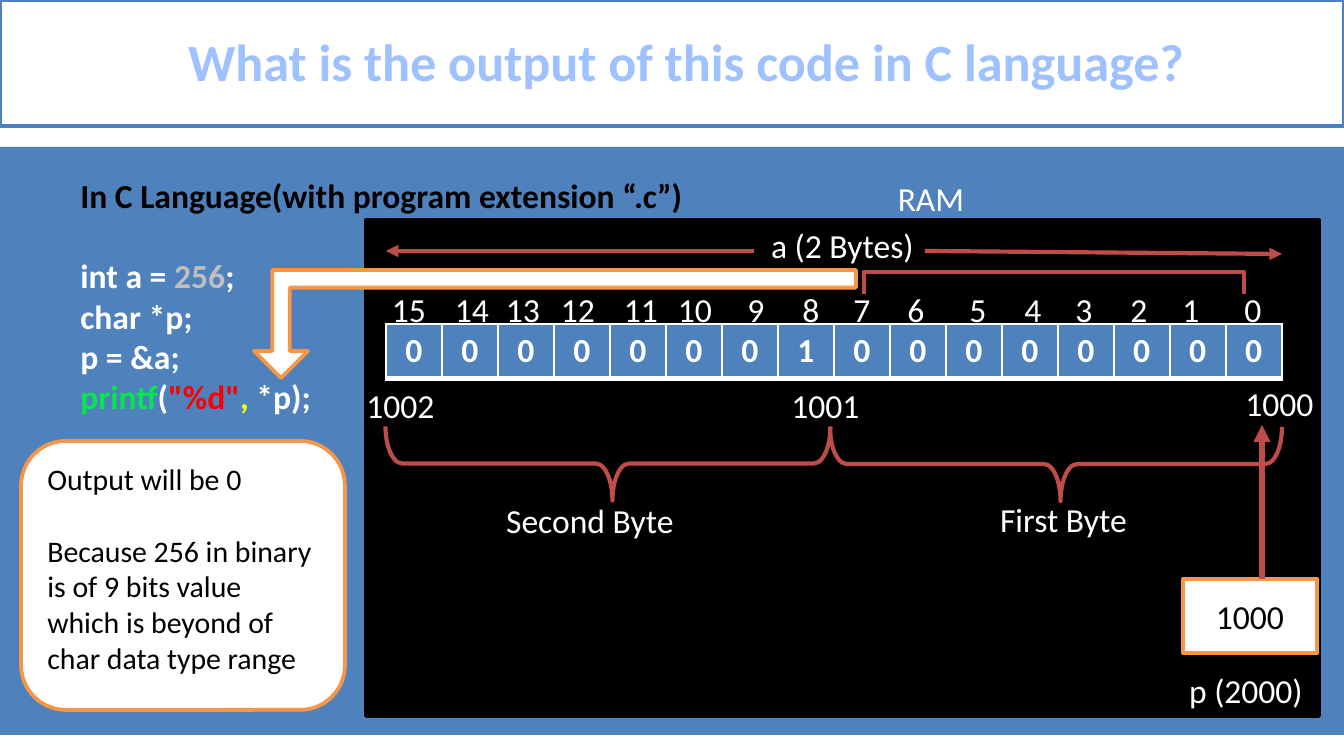
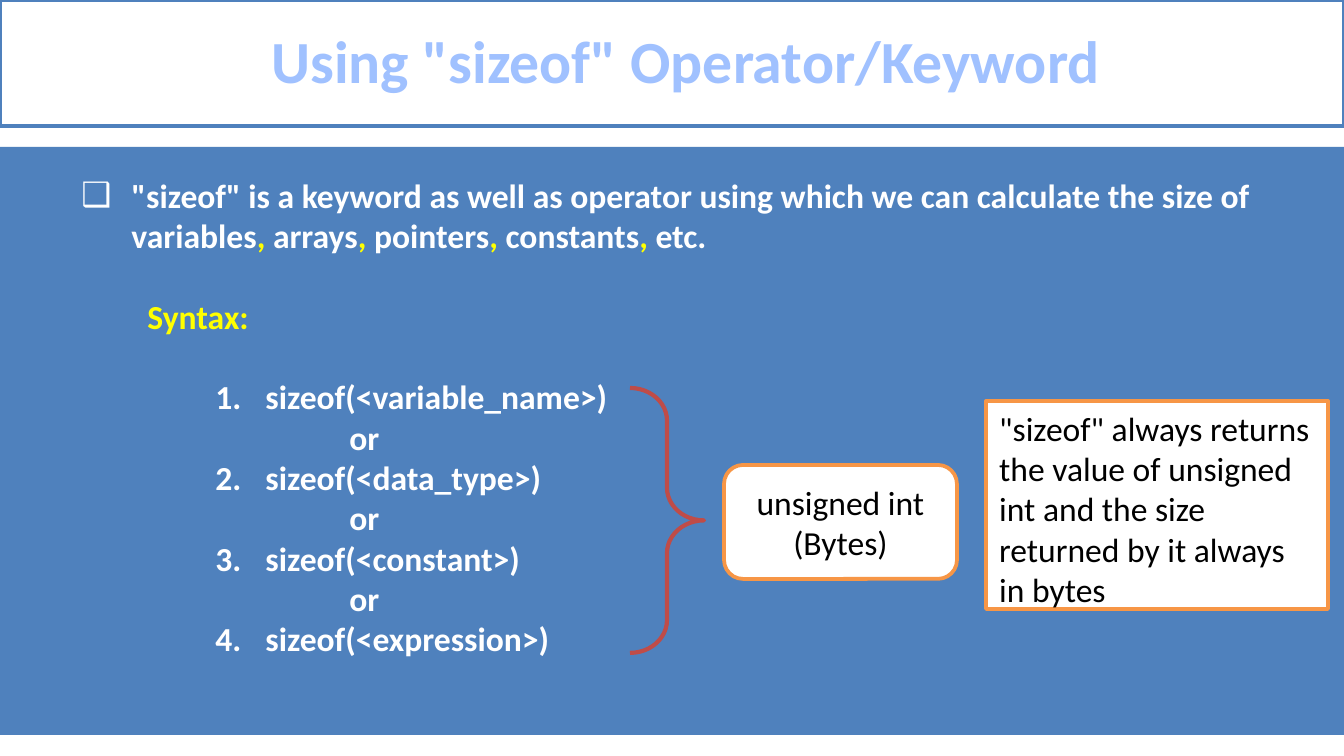
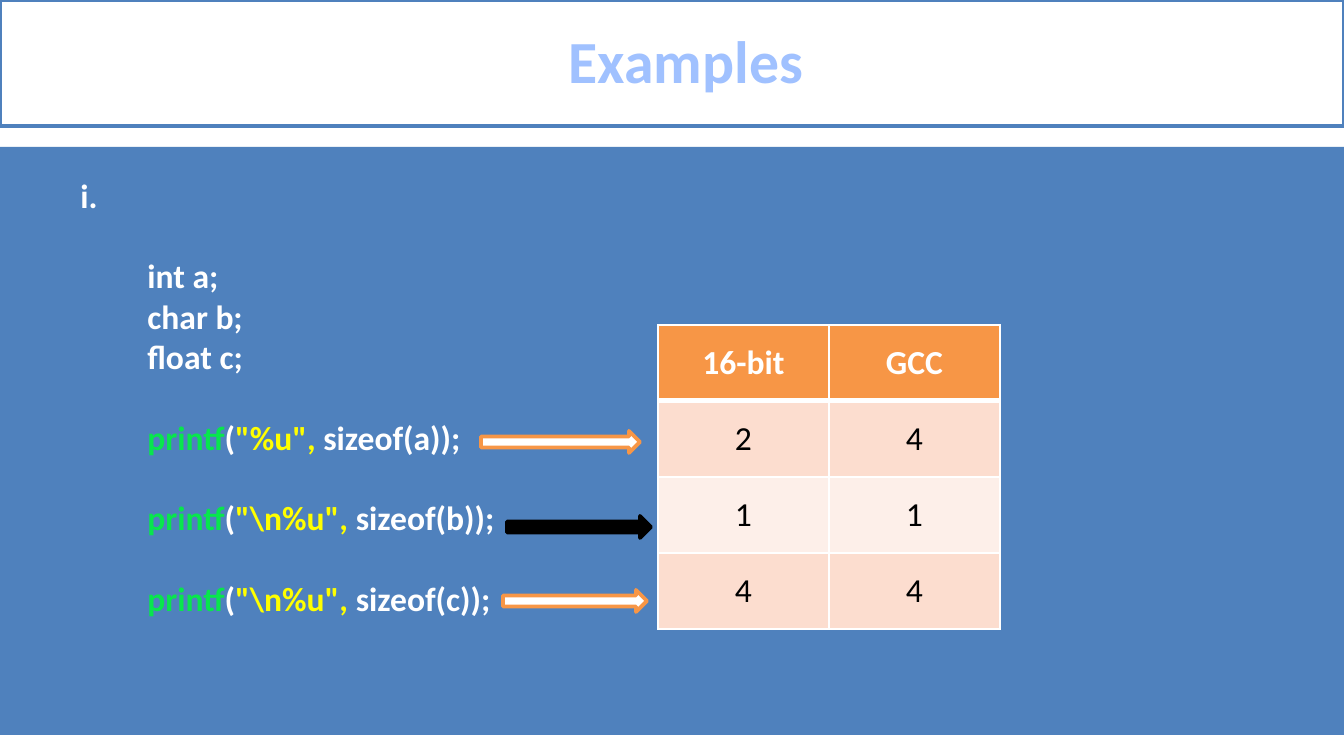
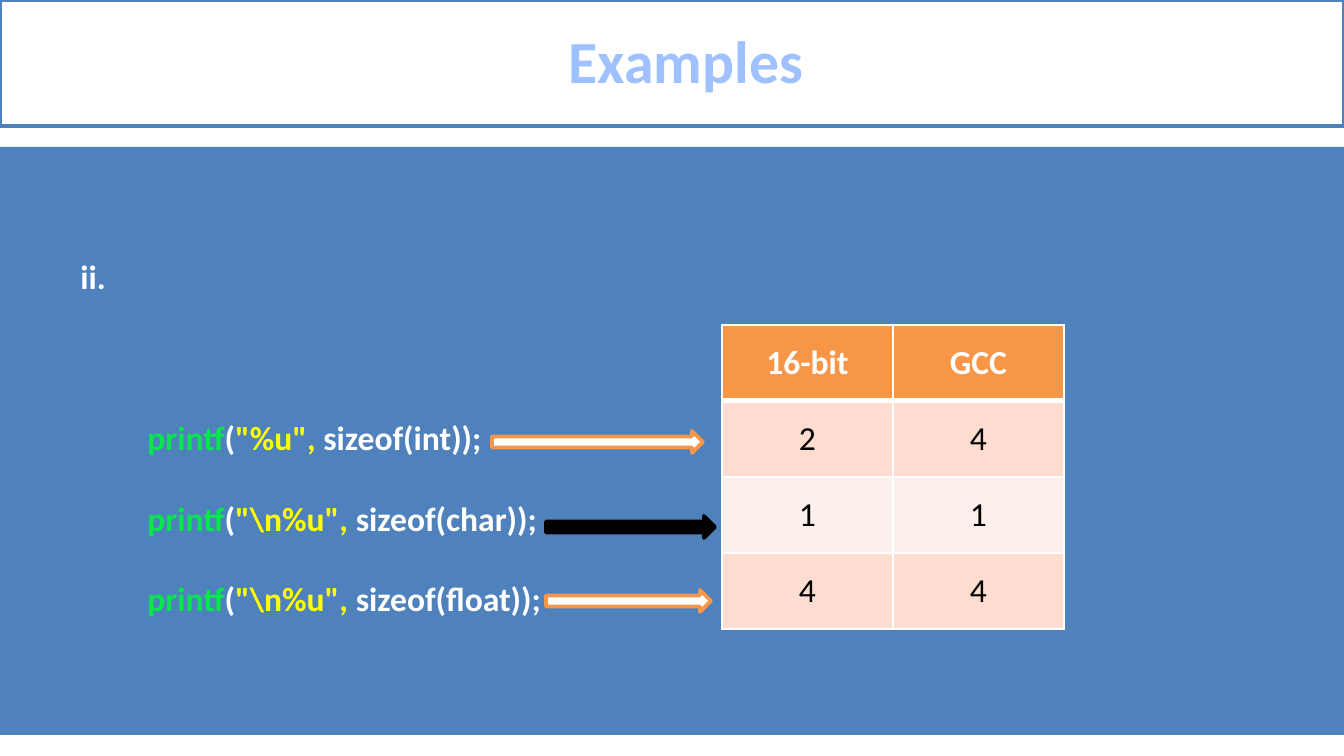
from dataclasses import dataclass

from lxml import etree
from pptx import Presentation
from pptx.dml.color import RGBColor
from pptx.enum.shapes import MSO_CONNECTOR, MSO_SHAPE
from pptx.enum.text import MSO_ANCHOR, MSO_AUTO_SIZE, PP_ALIGN
from pptx.oxml.ns import qn
from pptx.util import Emu, Pt

LEFT, CENTER = PP_ALIGN.LEFT, PP_ALIGN.CENTER
TOP, MIDDLE = MSO_ANCHOR.TOP, MSO_ANCHOR.MIDDLE
NO_AUTOFIT = MSO_AUTO_SIZE.NONE
STRAIGHT = MSO_CONNECTOR.STRAIGHT
RECTANGLE = MSO_SHAPE.RECTANGLE
ROUNDED = MSO_SHAPE.ROUNDED_RECTANGLE
BRACE = MSO_SHAPE.RIGHT_BRACE
BRACKET = MSO_SHAPE.RIGHT_BRACKET
BENT_ARROW = MSO_SHAPE.BENT_UP_ARROW
RIGHT_ARROW = MSO_SHAPE.RIGHT_ARROW

PX = 914400 / 134.4
FONT = "Calibri"
LINE_HEIGHT = 1.2

WHITE, BLACK = "FFFFFF", "000000"
BLUE, TITLE_BLUE = "4F81BD", "A0C1FF"
ORANGE, DARK_RED = "F79646", "BF4C48"
PEACH, PALE_PEACH = "FCDDCF", "FDEFE9"
GREEN, YELLOW, RED, GREY = "08E64D", "FFFF00", "FF0000", "BFBFBF"


def px(length):
    return Emu(round(length * PX))


def rgb(color):
    return RGBColor.from_string(color)


@dataclass
class Box:
    left: int
    top: int
    width: int
    height: int

    def emu(self):
        return [px(n) for n in (self.left, self.top, self.width, self.height)]

    def inside(self, left, top, width, height):
        return Box(self.left + left, self.top + top, width, height)


@dataclass
class Line:
    """One paragraph; gap is the number of empty lines above it."""
    runs: list
    gap: int = 0
    level: int = 0
    margin: int = 0
    indent: int = 0
    bullet: tuple = ("buNone", {})


SLIDE = Box(0, 0, 1344, 756)
TITLE = Box(0, 0, 1344, 126)
PANEL = Box(0, 147, 1344, 588)
BODY = Box(0, 168, 1344, 543)


# Text

def write(frame, lines, size=18, bold=False, align=LEFT):
    for number, line in enumerate(lines):
        paragraph = frame.paragraphs[0] if number == 0 else frame.add_paragraph()
        properties = paragraph._p.get_or_add_pPr()
        properties.set("marL", str(px(line.margin)))
        properties.set("indent", str(px(line.indent)))
        tag, attributes = line.bullet
        etree.SubElement(properties, qn("a:" + tag), attributes)
        paragraph.level = line.level
        paragraph.alignment = align
        paragraph.space_before = Pt(line.gap * size * LINE_HEIGHT)
        for text, color in line.runs:
            if text == "\n":
                paragraph.add_line_break()
                continue
            run = paragraph.add_run()
            run.text = text
            run.font.name = FONT
            run.font.size = Pt(size)
            run.font.bold = bold
            run.font.color.rgb = rgb(color)


def plain(text, color=WHITE, **layout):
    return Line([(text, color)], **layout)


def add_label(slide, box, text):
    frame = slide.shapes.add_textbox(*box.emu()).text_frame
    frame.word_wrap = False
    write(frame, [plain(text)], align=CENTER)


# Shapes, lines and tables

def add_figure(slide, kind, box, fill=None, line=None, weight=2,
               rotation=0, adjustments=()):
    shape = slide.shapes.add_shape(kind, *box.emu())
    shape.shadow.inherit = False
    shape.rotation = rotation
    for index, value in enumerate(adjustments):
        shape.adjustments[index] = value
    paint(shape, fill, line, weight)
    return shape


def paint(shape, fill, line, weight=2):
    if fill:
        shape.fill.solid()
        shape.fill.fore_color.rgb = rgb(fill)
    else:
        shape.fill.background()
    if line:
        shape.line.color.rgb = rgb(line)
        shape.line.width = Pt(weight)
    else:
        shape.line.fill.background()


def add_note(slide, kind, box, lines, size=18, align=LEFT, anchor=TOP):
    frame = add_figure(slide, kind, box, WHITE, ORANGE).text_frame
    frame.word_wrap = True
    frame.vertical_anchor = anchor
    write(frame, lines, size, align=align)


def add_arrow(slide, box, start, end, weight=2.25):
    points = [px(n) for n in (box.left + start[0], box.top + start[1],
                              box.left + end[0], box.top + end[1])]
    connector = slide.shapes.add_connector(STRAIGHT, *points)
    connector.line.color.rgb = rgb(DARK_RED)
    connector.line.width = Pt(weight)
    etree.SubElement(connector.line._get_or_add_ln(), qn("a:tailEnd"), type="triangle")
    etree.SubElement(connector._element.spPr, qn("a:effectLst"))


def add_borders(cell, bottom):
    properties = cell._tc.get_or_add_tcPr()
    for side, weight in (("L", 1), ("R", 1), ("T", 1), ("B", bottom)):
        border = etree.SubElement(properties, qn("a:ln" + side), w=str(Pt(weight)))
        fill = etree.SubElement(border, qn("a:solidFill"))
        etree.SubElement(fill, qn("a:srgbClr"), val=WHITE)


def add_grid(slide, box, rows, fills, anchor=TOP):
    """Table of equal cells whose first row is a bold white header."""
    table = slide.shapes.add_table(len(rows), len(rows[0]), *box.emu()).table
    table.horz_banding = False
    for column in table.columns:
        column.width = px(box.width / len(rows[0]))
    for row_index, (values, fill) in enumerate(zip(rows, fills)):
        header = row_index == 0
        table.rows[row_index].height = px(box.height / len(rows))
        for column_index, value in enumerate(values):
            cell = table.cell(row_index, column_index)
            add_borders(cell, 3 if header else 1)
            cell.fill.solid()
            cell.fill.fore_color.rgb = rgb(fill)
            cell.vertical_anchor = anchor
            write(cell.text_frame, [plain(value, WHITE if header else BLACK)],
                  bold=header, align=CENTER)


# Frame shared by all slides

def add_slide(presentation, title, body_lines, title_size=32, body=BODY):
    slide = presentation.slides.add_slide(presentation.slide_layouts[1])
    panel = add_figure(slide, RECTANGLE, PANEL, BLUE)
    slide.shapes._spTree.insert(2, panel._element)

    heading, content = slide.placeholders
    paint(heading, WHITE, BLUE)
    for placeholder, box, anchor in ((heading, TITLE, MIDDLE), (content, body, TOP)):
        placeholder.left, placeholder.top, placeholder.width, placeholder.height = box.emu()
        placeholder.text_frame.auto_size = NO_AUTOFIT
        placeholder.text_frame.word_wrap = True
        placeholder.text_frame.vertical_anchor = anchor
    write(heading.text_frame, [plain(title, TITLE_BLUE, margin=28)],
          title_size, bold=True, align=CENTER)
    heading.text_frame.paragraphs[0].line_spacing = 0.96
    write(content.text_frame, body_lines, bold=True)
    return slide


def printf_runs(pattern, argument, pattern_color=YELLOW):
    return [("printf", GREEN), ("(", WHITE), (pattern, pattern_color),
            (",", YELLOW), (f" {argument});", WHITE)]


# Slide 1: integer in memory

def add_memory(slide, box):
    add_figure(slide, RECTANGLE, box, BLACK, BLACK)
    add_label(slide, box.inside(518, -49, 94, 54), "RAM")
    add_label(slide, box.inside(391, -2, 171, 54), "a (2 Bytes)")

    # Pointer variable
    add_note(slide, RECTANGLE, box.inside(817, 359, 134, 74),
             [plain("1000", BLACK)], align=CENTER, anchor=MIDDLE)
    add_label(slide, box.inside(809, 443, 142, 54), "p (2000)")

    # Bits and their numbers
    add_grid(slide, box.inside(20, 104, 896, 55), [f"{256:016b}"], [BLUE])
    bit_centers = (887, 825, 773, 718, 667, 612, 550, 496,
                   445, 390, 329, 275, 212, 157, 106, 43)
    for bit, center in enumerate(bit_centers):
        add_label(slide, box.inside(center - 31, 62, 62, 54), str(bit))

    # Bytes
    for brace, label, name in (
            ((653, 18, 74, 452), (620, 272, 155, 54), "First Byte"),
            ((205, 21, 74, 445), (126, 273, 196, 54), "Second Byte")):
        add_figure(slide, BRACE, box.inside(*brace), line=DARK_RED, weight=2.25,
                   rotation=90, adjustments=(0.225, 0.49))
        add_label(slide, box.inside(*label), name)

    # Addresses
    for left, top, address in ((866, 156, "1000"), (412, 158, "1001"), (-13, 158, "1002")):
        add_label(slide, box.inside(left, top, 95, 54), address)

    # Extent of the variable, and the pointer to it
    add_arrow(slide, box, (388, 31), (20, 31))
    add_arrow(slide, box, (559, 31), (916, 34))
    add_arrow(slide, box, (896, 359), (896, 205), 3)

    # Byte that is read, led to the code
    add_figure(slide, BRACKET, box.inside(677, -127, 22, 380), line=DARK_RED,
               weight=2.25, rotation=270, adjustments=(0,))
    add_figure(slide, BENT_ARROW, box.inside(-112, 50, 602, 108), WHITE, ORANGE,
               rotation=180, adjustments=(0.163, 0.25, 0.25))


def build_output_slide(presentation):
    code = [
        plain("In C Language(with program extension “.c”)", BLACK),
        Line([("int a = ", WHITE), ("256", GREY), (";", WHITE)], gap=1),
        plain("char *p;"),
        plain("p = &a;"),
        Line(printf_runs('"%d"', "*p", RED)),
    ]
    for line in code:
        line.level, line.margin = 1, 67
    slide = add_slide(presentation, "What is the output of this code in C language?", code, 28)
    add_memory(slide, Box(366, 220, 953, 496))
    add_note(slide, ROUNDED, Box(21, 441, 324, 269), [
        plain("Output will be 0", BLACK),
        plain("Because 256 in binary is of 9 bits value", BLACK, gap=1),
        plain("which is beyond of", BLACK),
        plain("char data type range", BLACK),
    ], size=16)


# Slide 2: sizeof syntax

def build_syntax_slide(presentation):
    definition = [('"sizeof" is a keyword as well as operator using which we can '
                   "calculate the size of variables", WHITE)]
    for word in ("arrays", "pointers", "constants", "etc."):
        definition += [(",", YELLOW), (f" {word}", WHITE)]
    lines = [
        Line(definition, level=1, margin=118, indent=-50, bullet=("buChar", {"char": "❑"})),
        plain("Syntax:", YELLOW, gap=1, level=2, margin=134),
    ]
    for index, operand in enumerate(("variable_name", "data_type", "constant", "expression")):
        if index:
            lines.append(plain("or", level=5, margin=336))
        lines.append(plain(f"sizeof(<{operand}>)", gap=0 if index else 1, level=3,
                           margin=252, indent=-50,
                           bullet=("buAutoNum", {"type": "arabicPeriod"})))
    slide = add_slide(presentation, 'Using "sizeof" Operator/Keyword', lines)

    add_figure(slide, BRACE, Box(630, 388, 74, 265), line=DARK_RED, weight=2.25,
               adjustments=(0.442, 0.5))
    add_note(slide, ROUNDED, Box(724, 465, 233, 114),
             [plain("unsigned int", BLACK), plain("(Bytes)", BLACK)],
             align=CENTER, anchor=MIDDLE)
    add_note(slide, RECTANGLE, Box(986, 401, 342, 208), [Line([
        ('"sizeof" always returns the value of unsigned int and the size', BLACK),
        ("\n", BLACK), ("returned by it always", BLACK),
        ("\n", BLACK), ("in bytes", BLACK)])])


# Slides 3 and 4: sizes under two compilers

def add_sizes(slide, box, arrows):
    """Table of sizes; arrows are (left, width), relative to the table."""
    rows = [("16-bit", "GCC"), ("2", "4"), ("1", "1"), ("4", "4")]
    add_grid(slide, box, rows, [ORANGE, PEACH, PALE_PEACH, PEACH], MIDDLE)
    styles = ((106, WHITE, ORANGE), (191, BLACK, BLACK), (265, WHITE, ORANGE))
    for (left, width), (top, fill, line) in zip(arrows, styles):
        add_figure(slide, RIGHT_ARROW, box.inside(left, top, width, 22), fill, line)


def build_example_slide(presentation, number, declarations, operands, first_gap,
                        table_left, arrows, body=BODY):
    lines = [plain(number, level=1, margin=67)]
    for index, declaration in enumerate(declarations):
        lines.append(plain(declaration, gap=0 if index else 1, level=2, margin=134))
    for index, operand in enumerate(operands):
        pattern = '"\\n%u"' if index else '"%u"'
        lines.append(Line(printf_runs(pattern, f"sizeof({operand})"),
                          gap=1 if index else first_gap, level=2, margin=134))
    slide = add_slide(presentation, "Examples", lines, body=body)
    add_sizes(slide, Box(table_left, 325, 342, 304), arrows)


def main():
    presentation = Presentation()
    presentation.slide_width, presentation.slide_height = px(SLIDE.width), px(SLIDE.height)
    build_output_slide(presentation)
    build_syntax_slide(presentation)
    build_example_slide(presentation, "i.", ("int a;", "char b;", "float c;"), "abc", 1,
                        658, ((-177, 159), (-151, 144), (-155, 144)))
    build_example_slide(presentation, "ii.", (), ("int", "char", "float"), 3,
                        722, ((-230, 211), (-176, 169), (-176, 165)),
                        Box(0, 249, 1344, 380))
    presentation.save("out.pptx")


if __name__ == "__main__":
    main()
